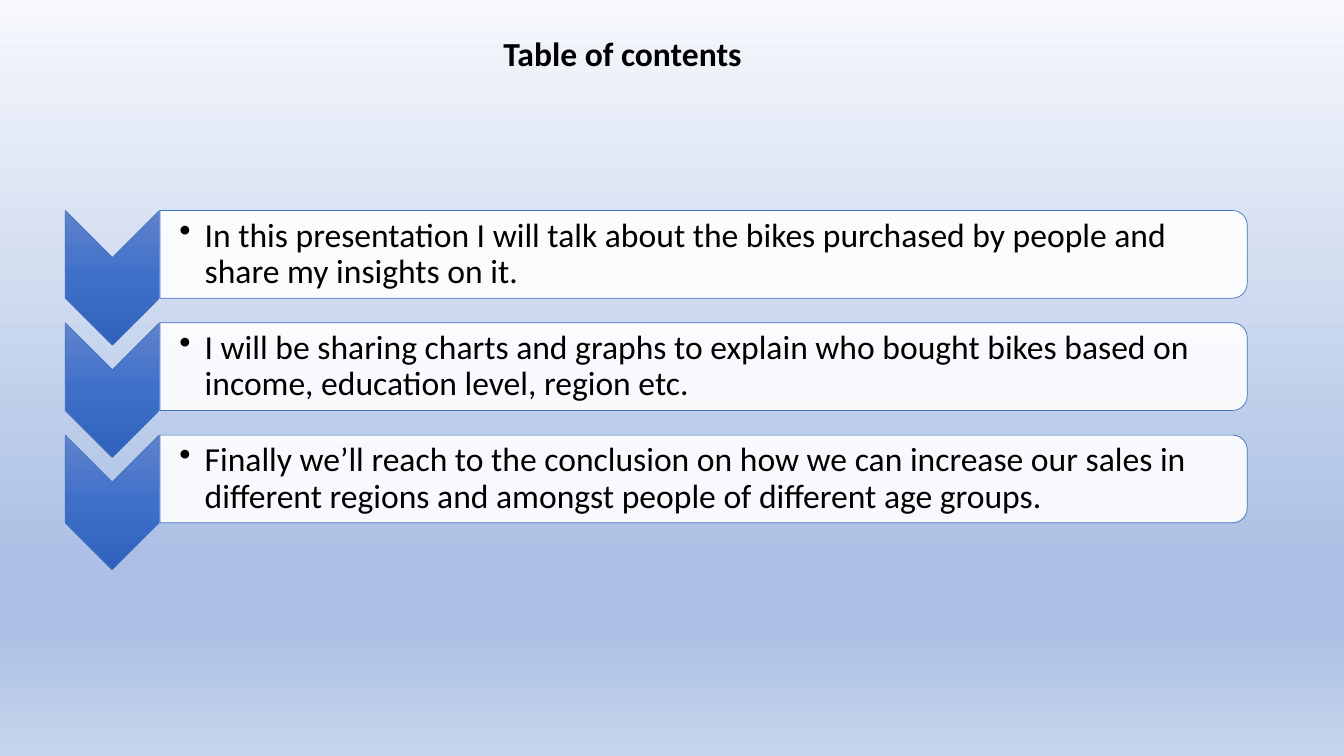
from dataclasses import dataclass

from pptx import Presentation
from pptx.dml.color import RGBColor
from pptx.enum.shapes import MSO_SHAPE
from pptx.enum.text import MSO_ANCHOR, MSO_AUTO_SIZE, PP_ALIGN
from pptx.oxml import parse_xml
from pptx.oxml.ns import nsdecls
from pptx.util import Cm, Pt


@dataclass(frozen=True)
class Theme:
    font: str = "Calibri"
    text_size: int = 24
    text: str = "000000"
    outline: str = "4472C4"
    outline_width: float = 0.5
    panel: str = "FFFFFF"
    panel_opacity: int = 90
    backdrop: tuple = ((0, "F6F8FC"), (74, "ABC0E4"), (83, "ABC0E4"), (100, "C7D5ED"))
    chevron: tuple = ((0, "6183CB"), (50, "3E70CA"), (100, "3062BB"))


def write(frame, text, *, theme, bold=False, align=PP_ALIGN.LEFT, bullet=None,
          indent=0, line_spacing=None, space_after=None):
    paragraph = frame.paragraphs[0]
    paragraph.alignment = align
    paragraph.line_spacing = line_spacing
    paragraph.space_after = space_after
    run = paragraph.add_run()
    run.text = text
    run.font.name = theme.font
    run.font.size = Pt(theme.text_size)
    run.font.bold = bold
    run.font.color.rgb = RGBColor.from_string(theme.text)
    if bullet:
        properties = paragraph._p.get_or_add_pPr()
        properties.set("marL", str(indent))
        properties.set("indent", str(-indent))
        properties.append(parse_xml(f'<a:buChar {nsdecls("a")} char="{bullet}"/>'))


class SlideBuilder:
    def __init__(self, slide, theme):
        self.slide = slide
        self.theme = theme
        self.shapes = slide.shapes

    def gradient(self, fill, owner, stops):
        fill.gradient()
        preset = owner.xpath(".//a:gradFill")[0]
        marks = "".join(
            f'<a:gs pos="{position * 1000}"><a:srgbClr val="{color}"/></a:gs>'
            for position, color in stops)
        preset.getparent().replace(preset, parse_xml(
            f'<a:gradFill {nsdecls("a")} rotWithShape="0"><a:gsLst>{marks}</a:gsLst>'
            '<a:lin ang="5400000" scaled="0"/></a:gradFill>'))

    def background(self):
        self.gradient(self.slide.background.fill, self.slide._element, self.theme.backdrop)

    def start_group(self):
        self.shapes = self.slide.shapes.add_group_shape().shapes

    def turned_shape(self, kind, center_x, center_y, width, height):
        shape = self.shapes.add_shape(
            kind, Cm(center_x - width / 2), Cm(center_y - height / 2), Cm(width), Cm(height))
        shape.rotation = 90
        shape.shadow.inherit = False
        shape.line.color.rgb = RGBColor.from_string(self.theme.outline)
        shape.line.width = Pt(self.theme.outline_width)
        return shape

    def chevron(self, center_x, center_y, width, height):
        chevron = self.turned_shape(MSO_SHAPE.CHEVRON, center_x, center_y, width, height)
        self.gradient(chevron.fill, chevron._element, self.theme.chevron)

    def panel(self, center_x, center_y, width, height):
        panel = self.turned_shape(
            MSO_SHAPE.ROUND_2_SAME_RECTANGLE, center_x, center_y, width, height)
        panel.fill.solid()
        panel.fill.fore_color.rgb = RGBColor.from_string(self.theme.panel)
        color = panel._element.spPr.xpath("./a:solidFill/a:srgbClr")[0]
        color.append(parse_xml(
            f'<a:alpha {nsdecls("a")} val="{self.theme.panel_opacity * 1000}"/>'))

    def title(self, text, left, top, width, height):
        frame = self.shapes.add_textbox(Cm(left), Cm(top), Cm(width), Cm(height)).text_frame
        frame.word_wrap = False
        frame.auto_size = MSO_AUTO_SIZE.SHAPE_TO_FIT_TEXT
        write(frame, text, theme=self.theme, bold=True, align=PP_ALIGN.CENTER)

    def bullet(self, text, left, center_y, width, height):
        frame = self.shapes.add_textbox(
            Cm(left), Cm(center_y - height / 2), Cm(width), Cm(height)).text_frame
        frame.word_wrap = True
        frame.vertical_anchor = MSO_ANCHOR.MIDDLE
        frame.margin_left = Cm(0.48)
        frame.margin_top = frame.margin_right = frame.margin_bottom = Cm(0.05)
        write(frame, text, theme=self.theme, bullet="•", indent=Cm(0.64),
              line_spacing=0.9, space_after=Pt(3.6))


CONTENTS = (
    "In this presentation I will talk about the bikes purchased by people and "
    "share my insights on it.",
    "I will be sharing charts and graphs to explain who bought bikes based on "
    "income, education level, region etc.",
    "Finally we’ll reach to the conclusion on how we can increase our sales in "
    "different regions and amongst people of different age groups.",
)
FIRST_CHEVRON_Y = 7.0
FIRST_PANEL_Y = 6.41
ROW_PITCH = 2.83

presentation = Presentation()
presentation.slide_width = Cm(33.87)
presentation.slide_height = Cm(19.05)
builder = SlideBuilder(
    presentation.slides.add_slide(presentation.slide_layouts[6]), Theme())

builder.background()
builder.title("Table of contents", 12.4, 0.71, 6.58, 1.27)
builder.start_group()
for row, topic in enumerate(CONTENTS):
    offset = row * ROW_PITCH
    builder.chevron(2.83, FIRST_CHEVRON_Y + offset, 3.39, 2.37)
    builder.panel(17.73, FIRST_PANEL_Y + offset, 2.21, 27.4)
    builder.bullet(topic, 4.04, FIRST_PANEL_Y + offset, 27.3, 1.98)

presentation.save("out.pptx")
